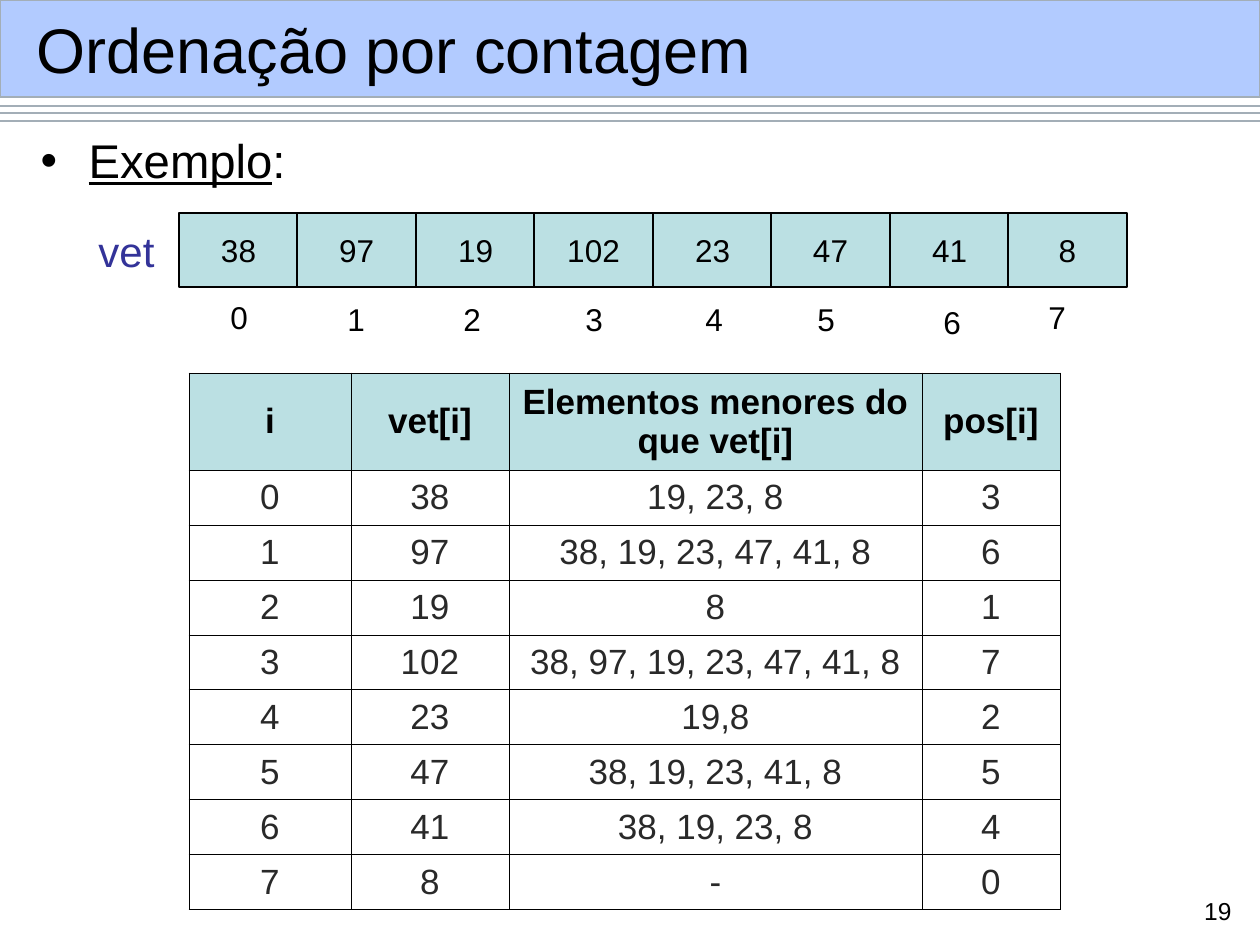
from lxml.etree import SubElement
from pptx import Presentation
from pptx.dml.color import RGBColor as RGB
from pptx.enum.shapes import MSO_CONNECTOR as CONNECTOR, MSO_SHAPE as SHAPE
from pptx.enum.text import MSO_ANCHOR as ANCHOR, MSO_AUTO_SIZE as AUTO, PP_ALIGN as ALIGN
from pptx.oxml import parse_xml
from pptx.oxml.ns import nsdecls, qn
from pptx.util import Pt

COLORS = {
    "black": "000000", "white": "FFFFFF", "gray": "292929", "rule": "A3AEB7",
    "band": "6699FF", "cell": "BBE0E3", "label": "333399",
}


def px(*lengths):
    return [round(length * 914400 / 126) for length in lengths]


def style(frame, size, color="black", align=ALIGN.LEFT, bold=False):
    frame.auto_size = AUTO.NONE
    paragraph = frame.paragraphs[0]
    paragraph.alignment = align
    font = paragraph.font
    font.name, font.size, font.bold = "Arial", Pt(size), bold
    font.color.rgb = RGB.from_string(COLORS[color])


prs = Presentation()
prs.slide_width, prs.slide_height = px(1260, 945)
slide = prs.slides.add_slide(prs.slide_layouts[1])
shapes = slide.shapes
title, body = slide.placeholders

for y in (106, 113, 121):
    rule = shapes.add_connector(CONNECTOR.STRAIGHT, *px(0, y, 1260, y))
    rule.line.color.rgb = RGB.from_string(COLORS["rule"])
    rule.line.width = Pt(0.75)
    SubElement(rule._element.spPr, qn("a:effectLst"))

band = shapes.add_shape(SHAPE.RECTANGLE, *px(0, 0, 1260, 97))
band.shadow.inherit = False
band.fill.solid()
band.fill.fore_color.rgb = RGB.from_string(COLORS["band"])
band_color = band._element.spPr.find(qn("a:solidFill"))[0]
SubElement(band_color, qn("a:alpha"), val="50000")
band.line.color.rgb = RGB.from_string(COLORS["rule"])
band.line.width = Pt(0.75)

shapes._spTree.append(title._element)
title.left, title.top, title.width, title.height = px(24, 11, 1215, 75)
title.text_frame.text = "Ordenação por contagem"
title.text_frame.vertical_anchor = ANCHOR.MIDDLE
style(title.text_frame, 36)

body.left, body.top, body.width, body.height = px(28, 125, 1220, 786)
example = body.text_frame.paragraphs[0]
heading = example.add_run()
heading.text = "Exemplo"
heading.font.underline = True
example.add_run().text = ":"
style(body.text_frame, 27)
example.space_before = Pt(6.8)
example_props = example._p.get_or_add_pPr()
indent = px(48)[0]
example_props.set("marL", str(indent))
example_props.set("indent", str(-indent))

header = ["i", "vet[i]", "Elementos menores do que vet[i]", "pos[i]"]
vet = [38, 97, 19, 102, 23, 47, 41, 8]
smaller = [
    "19, 23, 8", "38, 19, 23, 47, 41, 8", "8", "38, 97, 19, 23, 47, 41, 8",
    "19,8", "38, 19, 23, 41, 8", "38, 19, 23, 8", "-",
]
pos = [3, 6, 1, 7, 2, 5, 4, 0]
rows = [header, *zip(range(8), vet, smaller, pos)]

table = shapes.add_table(9, 4, *px(189, 373, 871, 537)).table
table.first_row = table.horz_banding = False
for column, width in zip(table.columns, px(162, 158, 413, 138)):
    column.width = width
for row, height in zip(table.rows, px(97, *[55] * 8)):
    row.height = height
for r, values in enumerate(rows):
    is_header = r == 0
    for c, value in enumerate(values):
        cell = table.cell(r, c)
        cell.text = str(value)
        cell.vertical_anchor = ANCHOR.MIDDLE
        style(cell.text_frame, 20, "black" if is_header else "gray", ALIGN.CENTER, is_header)
        cell.fill.solid()
        cell.fill.fore_color.rgb = RGB.from_string(COLORS["cell" if is_header else "white"])
        for position, side in enumerate("LRTB"):
            border = parse_xml(
                f'<a:ln{side} {nsdecls("a")} w="5715"><a:solidFill>'
                f'<a:srgbClr val="{COLORS["black"]}"/></a:solidFill></a:ln{side}>'
            )
            cell._tc.get_or_add_tcPr().insert(position, border)

for i, value in enumerate(vet):
    left = 179 + (1127 - 179) * i // 8
    element = shapes.add_shape(SHAPE.RECTANGLE, *px(left, 213, 119, 74))
    element.shadow.inherit = False
    element.fill.solid()
    element.fill.fore_color.rgb = RGB.from_string(COLORS["cell"])
    element.line.color.rgb = RGB.from_string(COLORS["black"])
    element.line.width = Pt(0.75)
    element.text_frame.text = str(value)
    element.text_frame.word_wrap = False
    element.text_frame.vertical_anchor = ANCHOR.MIDDLE
    style(element.text_frame, 18, align=ALIGN.CENTER)

index_lefts = [218, 335, 451, 573, 693, 805, 931, 1036]
index_tops = [292, 294, 294, 294, 294, 294, 297, 292]
labels = [("vet", 86, 219, 81, 63, 24, "label", ALIGN.LEFT)]
for i, (left, top) in enumerate(zip(index_lefts, index_tops)):
    labels.append((str(i), left, top, 43, 50, 18, "black", ALIGN.LEFT))
labels.append(("19", 1184, 890, 60, 43, 14, "black", ALIGN.RIGHT))
for text, left, top, width, height, size, color, align in labels:
    label = shapes.add_textbox(*px(left, top, width, height))
    label.text_frame.text = text
    label.text_frame.word_wrap = align == ALIGN.RIGHT
    style(label.text_frame, size, color, align)

prs.save("out.pptx")
